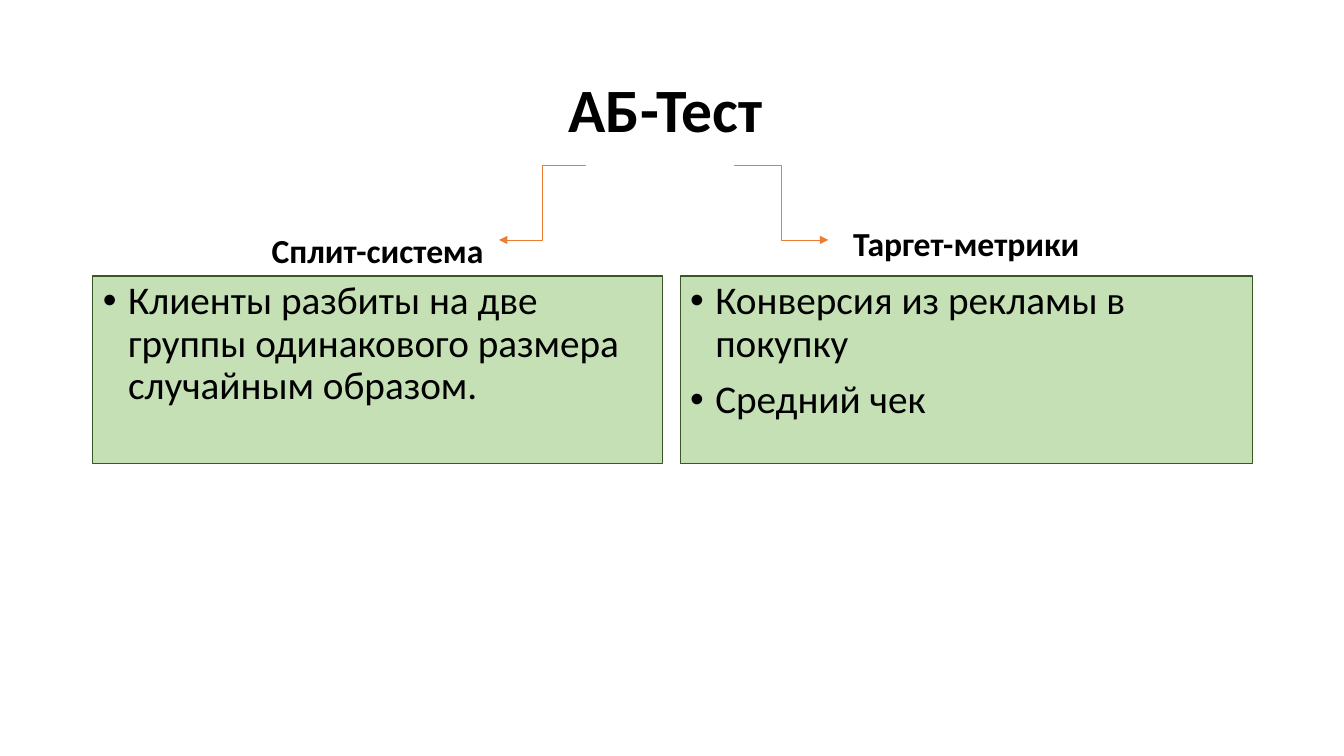
"""Build the A/B test slide with two headed panels and two elbow arrows."""
import lxml.etree
import pptx
import pptx.util
import pptx.dml.color
import pptx.enum.shapes
import pptx.enum.text
import pptx.oxml.ns

BLACK = pptx.dml.color.RGBColor(0x00, 0x00, 0x00)
PANEL_GREEN = pptx.dml.color.RGBColor(0xC5, 0xE0, 0xB4)
BORDER_GREEN = pptx.dml.color.RGBColor(0x38, 0x57, 0x23)
ORANGE = pptx.dml.color.RGBColor(0xED, 0x7D, 0x31)
ALIGN = pptx.enum.text.PP_ALIGN
ANCHOR = pptx.enum.text.MSO_ANCHOR
SCALE = 914400 / 100.8

TITLE = "АБ-Тест "
TITLE_PLACE = (93, 40, 1159, 146)
PANEL_TOP, PANEL_HEIGHT = 276, 188
HEADING_HEIGHT = 46
ARROW_TOP, ARROW_BOTTOM = 165, 240
PANELS = [
    {"left": 93, "width": 569, "heading": "Сплит-система", "heading_top": 230,
     "points": ["Клиенты разбиты на две группы одинакового размера случайным образом."],
     "arrow": (586, 499)},
    {"left": 680, "width": 572, "heading": "Таргет-метрики", "heading_top": 223,
     "points": ["Конверсия из рекламы в покупку", "Средний чек"],
     "arrow": (734, 828)},
]


def px(length):
    return pptx.util.Emu(round(length * SCALE))


def assign(target, values):
    for name, value in values.items():
        setattr(target, name, value)


def add_element(parent, tag, **attributes):
    lxml.etree.SubElement(parent, pptx.oxml.ns.qn("a:" + tag), attributes)


def write(shape, texts, size, bold, align, anchor, bullet=False):
    frame = shape.text_frame
    assign(frame, {"word_wrap": True, "vertical_anchor": anchor,
                   "auto_size": pptx.enum.text.MSO_AUTO_SIZE.NONE})
    for index, text in enumerate(texts):
        para = frame.add_paragraph() if index else frame.paragraphs[0]
        assign(para, {"alignment": align, "line_spacing": 0.9,
                      "space_before": pptx.util.Pt(10 if index else 0)})
        span = para.add_run()
        span.text = text
        assign(span.font, {"name": "Calibri", "size": pptx.util.Pt(size), "bold": bold})
        span.font.color.rgb = BLACK
        if bullet:
            properties = para._p.get_or_add_pPr()
            properties.set("marL", "228600")
            properties.set("indent", "-228600")
            add_element(properties, "buFont", typeface="Arial")
            add_element(properties, "buChar", char="•")


def add_panel(page, panel):
    left, width = px(panel["left"]), px(panel["width"])
    heading = page.shapes.add_textbox(left, px(panel["heading_top"]), width, px(HEADING_HEIGHT))
    write(heading, [panel["heading"]], 24, True, ALIGN.CENTER, ANCHOR.MIDDLE)
    box = page.shapes.add_shape(pptx.enum.shapes.MSO_SHAPE.RECTANGLE,
                                left, px(PANEL_TOP), width, px(PANEL_HEIGHT))
    box.shadow.inherit = False
    box.fill.solid()
    box.fill.fore_color.rgb = PANEL_GREEN
    box.line.color.rgb = BORDER_GREEN
    box.line.width = pptx.util.Pt(0.75)
    write(box, panel["points"], 28, False, ALIGN.LEFT, ANCHOR.TOP, bullet=True)


def add_arrow(page, start, end):
    arrow = page.shapes.add_connector(pptx.enum.shapes.MSO_CONNECTOR.ELBOW,
                                      px(start), px(ARROW_TOP), px(end), px(ARROW_BOTTOM))
    arrow.line.color.rgb = ORANGE
    arrow.line.width = pptx.util.Pt(0.5)
    properties = arrow._element.spPr
    add_element(properties.find(pptx.oxml.ns.qn("a:ln")), "tailEnd", type="triangle")
    add_element(properties, "effectLst")


deck = pptx.Presentation()
assign(deck, {"slide_width": pptx.util.Inches(13.33), "slide_height": pptx.util.Inches(7.5)})
page = deck.slides.add_slide(deck.slide_layouts[5])
title = page.shapes.title
assign(title, dict(zip(("left", "top", "width", "height"), map(px, TITLE_PLACE))))
write(title, [TITLE], 44, True, ALIGN.CENTER, ANCHOR.MIDDLE)
for panel in PANELS:
    add_panel(page, panel)
for panel in PANELS:
    add_arrow(page, *panel["arrow"])
deck.save("out.pptx")
